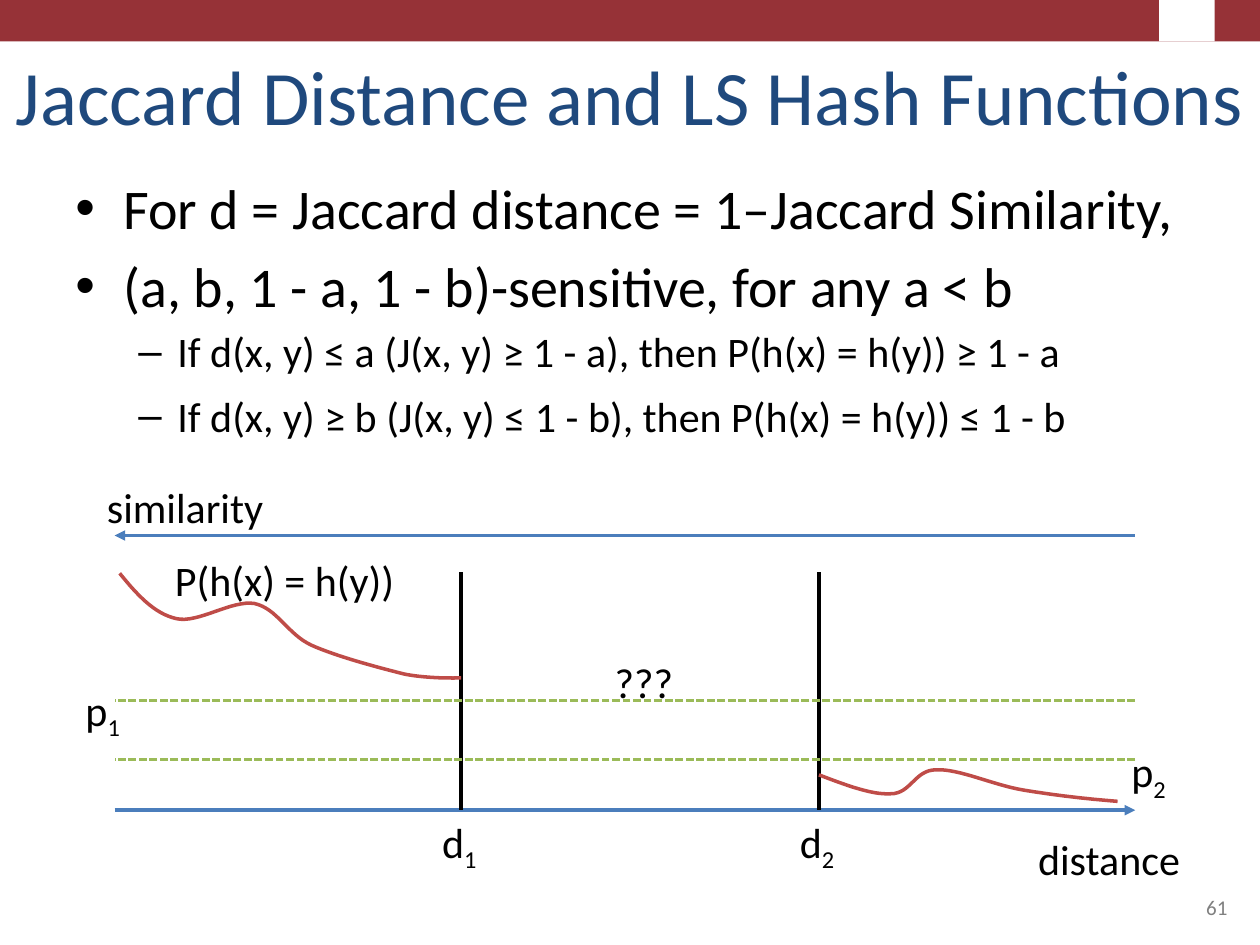
from dataclasses import dataclass
from typing import Optional

from lxml.etree import SubElement
from pptx import Presentation
from pptx.dml.color import RGBColor
from pptx.enum.dml import MSO_LINE
from pptx.enum.shapes import MSO_CONNECTOR, MSO_SHAPE
from pptx.enum.text import MSO_ANCHOR, MSO_AUTO_SIZE, PP_ALIGN
from pptx.oxml.ns import qn
from pptx.util import Inches, Pt

BAND_RED = RGBColor(0x96, 0x32, 0x37)
TITLE_BLUE = RGBColor(0x1F, 0x49, 0x7D)
AXIS_BLUE = RGBColor(0x4B, 0x7E, 0xBC)
CURVE_RED = RGBColor(0xBF, 0x4C, 0x48)
THRESHOLD_GREEN = RGBColor(0x9B, 0xBB, 0x59)
NUMBER_GREY = RGBColor(0x80, 0x80, 0x80)
BLACK = RGBColor(0, 0, 0)
WHITE = RGBColor(0xFF, 0xFF, 0xFF)

AXIS_LEFT, AXIS_RIGHT = 0.91, 9.01
DISTANCE_Y, SIMILARITY_Y = 6.43, 4.25
D1_X, D2_X, MARKER_TOP = 3.66, 6.5, 4.54
CURVE_STEPS = 16

Point = tuple[float, float]


@dataclass(frozen=True)
class Bullet:
    text: str
    level: int
    before: float


@dataclass(frozen=True)
class Label:
    text: str
    left: float
    top: float
    width: float
    subscript: str = ""


@dataclass(frozen=True)
class Rule:
    start: Point
    end: Point
    color: RGBColor
    width: float = 2
    arrow: Optional[str] = None
    dash: Optional[MSO_LINE] = None


LEVELS = [("•", 0.38, 0.38, 32), ("–", 0.81, 0.31, 24)]

BULLETS = [
    Bullet("For d = Jaccard distance = 1–Jaccard Similarity,", 0, 0),
    Bullet("(a, b, 1 - a, 1 - b)-sensitive, for any a < b", 0, 6),
    Bullet("If d(x, y) ≤ a (J(x, y) ≥ 1 - a), then P(h(x) = h(y)) ≥ 1 - a", 1, 4),
    Bullet("If d(x, y) ≥ b (J(x, y) ≤ 1 - b), then P(h(x) = h(y)) ≤ 1 - b", 1, 8),
]

RULES = [
    Rule((AXIS_LEFT, DISTANCE_Y), (AXIS_RIGHT, DISTANCE_Y), AXIS_BLUE, arrow="tailEnd"),
    Rule((AXIS_LEFT, SIMILARITY_Y), (AXIS_RIGHT, SIMILARITY_Y), AXIS_BLUE, arrow="headEnd"),
    *(Rule((x, MARKER_TOP), (x, DISTANCE_Y), BLACK) for x in (D1_X, D2_X)),
    *(Rule((AXIS_RIGHT, y), (AXIS_LEFT, y), THRESHOLD_GREEN, 1.5, dash=MSO_LINE.SQUARE_DOT)
      for y in (5.56, 6.03)),
]

CURVES = [
    [(0.95, 4.55), (1.08, 4.71), (1.22, 4.87), (1.4, 4.91), (1.57, 4.95), (1.84, 4.76),
     (2.02, 4.79), (2.2, 4.83), (2.28, 5.03), (2.47, 5.12), (2.67, 5.21), (3.01, 5.3),
     (3.21, 5.35), (3.41, 5.39), (3.66, 5.38), (3.66, 5.38)],
    [(6.5, 6.15), (6.71, 6.23), (6.92, 6.31), (7.07, 6.3), (7.23, 6.3), (7.26, 6.11),
     (7.43, 6.11), (7.61, 6.1), (7.88, 6.23), (8.12, 6.27), (8.36, 6.31), (8.61, 6.34),
     (8.87, 6.36)],
]

LABELS = [
    Label("d", D1_X - 0.25, DISTANCE_Y, 0.49, "1"),
    Label("d", D2_X - 0.25, DISTANCE_Y, 0.49, "2"),
    Label("p", 0.58, 5.38, 0.49, "1"),
    Label("p", 8.88, 5.87, 0.49, "2"),
    Label("???", 4.78, 5.16, 0.67),
    Label("P(h(x) = h(y))", 1.29, 4.35, 1.96),
    Label("similarity", 0.75, 3.77, 1.45),
    Label("distance", 8.14, 6.57, 1.34),
]


def apply_format(target, values: dict) -> None:
    for name, value in values.items():
        setattr(target, name, value)


def style_font(font, size: float, color: RGBColor) -> None:
    apply_format(font, {"name": "Calibri", "size": Pt(size), "bold": False})
    font.color.rgb = color


def add_block(slide, left: float, width: float, height: float, color: RGBColor) -> None:
    block = slide.shapes.add_shape(
        MSO_SHAPE.RECTANGLE, Inches(left), 0, Inches(width), Inches(height))
    block.shadow.inherit = False
    block.fill.solid()
    block.fill.fore_color.rgb = color
    block.line.fill.background()


def add_title(slide, text: str) -> None:
    title = slide.shapes.title
    apply_format(title, {"left": 0, "top": Inches(0.3),
                         "width": Inches(10), "height": Inches(0.87)})
    frame = title.text_frame
    frame.text = text
    apply_format(frame, {"margin_left": 0, "margin_right": 0, "word_wrap": True,
                         "vertical_anchor": MSO_ANCHOR.BOTTOM,
                         "auto_size": MSO_AUTO_SIZE.NONE})
    heading = frame.paragraphs[0]
    heading.alignment = PP_ALIGN.CENTER
    style_font(heading.font, 44, TITLE_BLUE)


def add_bullets(slide, bullets: list[Bullet]) -> None:
    body = slide.shapes.add_textbox(Inches(0.5), Inches(1.33), Inches(9), Inches(2.73))
    frame = body.text_frame
    frame.word_wrap = True
    for index, bullet in enumerate(bullets):
        item = frame.add_paragraph() if index else frame.paragraphs[0]
        mark, indent, hanging, size = LEVELS[bullet.level]
        item.text = bullet.text
        apply_format(item, {"level": bullet.level, "space_before": Pt(bullet.before)})
        properties = item._p.get_or_add_pPr()
        properties.set("marL", str(Inches(indent)))
        properties.set("indent", str(-Inches(hanging)))
        SubElement(properties, qn("a:buFont"), typeface="Arial")
        SubElement(properties, qn("a:buChar"), char=mark)
        style_font(item.font, size, BLACK)


def add_rule(slide, rule: Rule) -> None:
    connector = slide.shapes.add_connector(
        MSO_CONNECTOR.STRAIGHT, *(Inches(v) for v in rule.start + rule.end))
    connector.line.color.rgb = rule.color
    connector.line.width = Pt(rule.width)
    if rule.dash:
        connector.line.dash_style = rule.dash
    if rule.arrow:
        SubElement(connector.line._get_or_add_ln(), qn(f"a:{rule.arrow}"), type="triangle")
    SubElement(connector._element.spPr, qn("a:effectLst"))


def bezier_point(controls: list[Point], t: float) -> Point:
    weights = ((1 - t) ** 3, 3 * t * (1 - t) ** 2, 3 * t ** 2 * (1 - t), t ** 3)
    x, y = (sum(w * v for w, v in zip(weights, axis)) for axis in zip(*controls))
    return Inches(x), Inches(y)


def add_curve(slide, knots: list[Point]) -> None:
    outline = [bezier_point(knots[i:i + 4], step / CURVE_STEPS)
               for i in range(0, len(knots) - 1, 3)
               for step in range(1, CURVE_STEPS + 1)]
    builder = slide.shapes.build_freeform(*(Inches(v) for v in knots[0]))
    builder.add_line_segments(outline, close=False)
    curve = builder.convert_to_shape()
    curve.shadow.inherit = False
    curve.fill.background()
    curve.line.color.rgb = CURVE_RED
    curve.line.width = Pt(2)


def add_label(slide, label: Label) -> None:
    caption = slide.shapes.add_textbox(
        Inches(label.left), Inches(label.top), Inches(label.width), Inches(0.5))
    frame = caption.text_frame
    apply_format(frame, {"word_wrap": False, "auto_size": MSO_AUTO_SIZE.SHAPE_TO_FIT_TEXT})
    for text, baseline in ((label.text, 0), (label.subscript, -25000)):
        if text:
            run = frame.paragraphs[0].add_run()
            run.text = text
            style_font(run.font, 24, BLACK)
            if baseline:
                run._r.get_or_add_rPr().set("baseline", str(baseline))


def add_slide_number(slide, number: str) -> None:
    footer = slide.shapes.add_textbox(Inches(7.17), Inches(6.83), Inches(2.67), Inches(0.52))
    apply_format(footer.text_frame, {"text": number, "word_wrap": True,
                                     "vertical_anchor": MSO_ANCHOR.BOTTOM})
    line = footer.text_frame.paragraphs[0]
    line.alignment = PP_ALIGN.RIGHT
    style_font(line.font, 12, NUMBER_GREY)


def main() -> None:
    deck = Presentation()
    apply_format(deck, {"slide_width": Inches(10), "slide_height": Inches(7.5)})
    slide = deck.slides.add_slide(deck.slide_layouts[5])
    add_block(slide, 0, 10, 0.33, BAND_RED)
    add_block(slide, 9.2, 0.44, 0.33, WHITE)
    add_title(slide, "Jaccard Distance and LS Hash Functions")
    add_bullets(slide, BULLETS)
    for draw, parts in ((add_rule, RULES), (add_curve, CURVES), (add_label, LABELS)):
        for part in parts:
            draw(slide, part)
    add_slide_number(slide, "61")
    deck.save("out.pptx")


if __name__ == "__main__":
    main()
